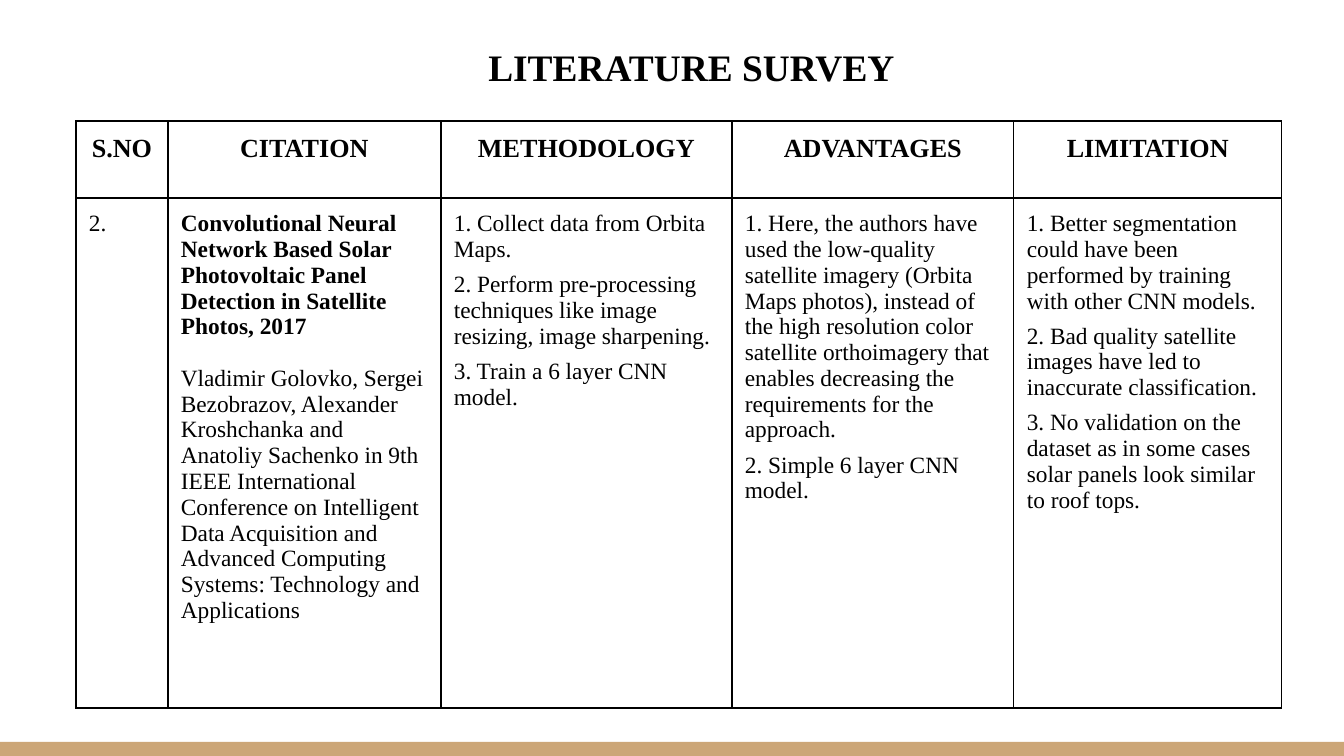
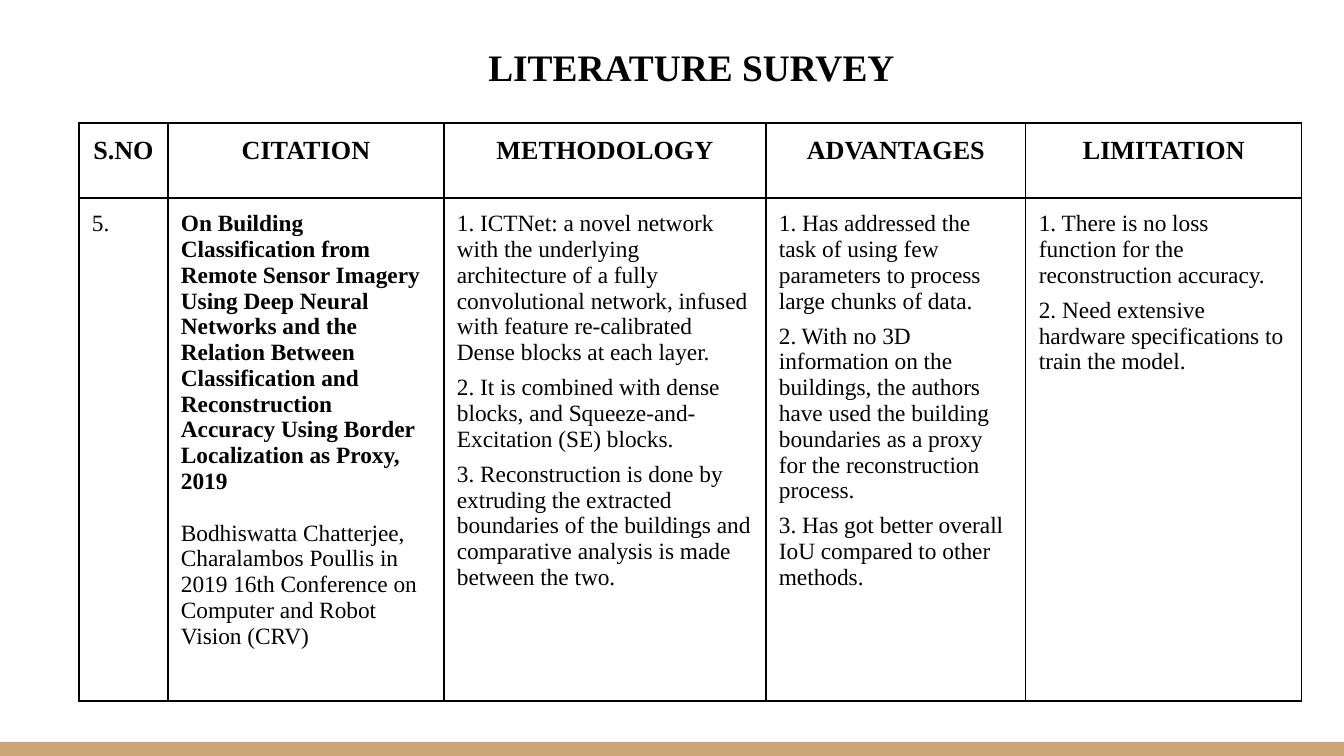
from lxml import etree
from pptx import Presentation
from pptx import util as u
from pptx.dml.color import RGBColor
from pptx.enum import shapes, text
from pptx.oxml import ns

PX = 914400 / 134.4
WIDTH, HEIGHT = 1344, 756
FONT = "Times New Roman"
COLORS = {"ink": "000000", "band": "CCA677", "paper": "FFFFFF"}
INSET = 13
HEADERS = ["S.NO", "CITATION", "METHODOLOGY", "ADVANTAGES", "LIMITATION"]
POINT_GAP, AUTHOR_GAP = 5, 13.8

SURVEYS = [
    {
        "origin": (76, 121),
        "cols": [92, 273, 291, 282, 268],
        "rows": [77, 510],
        "number": "2.",
        "paper": "Convolutional Neural Network Based Solar Photovoltaic Panel "
                 "Detection in Satellite Photos, 2017",
        "authors": "Vladimir Golovko, Sergei Bezobrazov, Alexander Kroshchanka and "
                   "Anatoliy Sachenko in 9th IEEE International Conference on "
                   "Intelligent Data Acquisition and Advanced Computing Systems: "
                   "Technology and Applications",
        "points": [
            ["Collect data from Orbita Maps.",
             "Perform pre-processing techniques like image resizing, image sharpening.",
             "Train a 6 layer CNN model."],
            ["Here, the authors have used the low-quality satellite imagery (Orbita "
             "Maps photos), instead of the high resolution color satellite "
             "orthoimagery that enables decreasing the requirements for the approach.",
             "Simple 6 layer CNN model."],
            ["Better segmentation could have been performed by training with other "
             "CNN models.",
             "Bad quality satellite images have led to inaccurate classification.",
             "No validation on the dataset as in some cases solar panels look "
             "similar to roof tops."],
        ],
    },
    {
        "origin": (79, 123),
        "cols": [89, 276, 322, 260, 276],
        "rows": [75, 503],
        "number": "5.",
        "paper": "On Building Classification from Remote Sensor Imagery Using Deep "
                 "Neural Networks and the Relation Between Classification and "
                 "Reconstruction Accuracy Using Border Localization as Proxy, 2019",
        "authors": "Bodhiswatta Chatterjee, Charalambos Poullis in 2019 16th "
                   "Conference on Computer and Robot Vision (CRV)",
        "points": [
            ["ICTNet: a novel network with the underlying architecture of a fully "
             "convolutional network, infused with feature re-calibrated Dense "
             "blocks at each layer.",
             "It is combined with dense blocks, and Squeeze-and-Excitation (SE) blocks.",
             "Reconstruction is done by extruding the extracted boundaries of the "
             "buildings and comparative analysis is made between the two."],
            ["Has addressed the task of using few parameters to process large "
             "chunks of data.",
             "With no 3D information on the buildings, the authors have used the "
             "building boundaries as a proxy for the reconstruction process.",
             "Has got better overall IoU compared to other methods."],
            ["There is no loss function for the reconstruction accuracy.",
             "Need extensive hardware specifications to train the model."],
        ],
    },
]


def px(n):
    return u.Emu(round(n * PX))


def rgb(name):
    return RGBColor.from_string(COLORS[name])


def set_insets(target):
    target.margin_left = target.margin_right = px(INSET)
    target.margin_top = target.margin_bottom = px(INSET)


def write(tf, lines, size, bold=False, center=False, gap=0):
    """Fill a text frame, one paragraph a line, with gap points between them."""
    for i, line in enumerate(lines):
        p = tf.add_paragraph() if i else tf.paragraphs[0]
        p.text = line
        p.alignment = text.PP_ALIGN.CENTER if center else text.PP_ALIGN.LEFT
        p.space_before = u.Pt(gap if i else 0)
        p.font.name, p.font.size, p.font.bold = FONT, u.Pt(size), bold
        p.font.color.rgb = rgb("ink")


def add_band(slide, box):
    sp = slide.shapes.add_shape(shapes.MSO_SHAPE.RECTANGLE, *map(px, box))
    sp.shadow.inherit = False
    sp.fill.solid()
    sp.fill.fore_color.rgb = rgb("band")
    sp.line.fill.background()


def add_title(slide, box, title):
    tf = slide.shapes.add_textbox(*map(px, box)).text_frame
    tf.word_wrap = True
    set_insets(tf)
    write(tf, [title], 20, bold=True, center=True)


def style_cell(cell):
    set_insets(cell)
    cell.fill.background()
    tc_pr = cell._tc.get_or_add_tcPr()
    for i, side in enumerate(["lnL", "lnR", "lnT", "lnB"]):
        ln = etree.Element(ns.qn(f"a:{side}"), w=str(u.Pt(0.75)))
        fill = etree.SubElement(ln, ns.qn("a:solidFill"))
        etree.SubElement(fill, ns.qn("a:srgbClr"), val=COLORS["ink"])
        tc_pr.insert(i, ln)


def add_survey_table(slide, survey):
    cols, rows = survey["cols"], survey["rows"]
    box = (*survey["origin"], sum(cols), sum(rows))
    table = slide.shapes.add_table(len(rows), len(cols), *map(px, box)).table
    table.first_row = table.horz_banding = False
    for column, width in zip(table.columns, cols):
        column.width = px(width)
    for row, height in zip(table.rows, rows):
        row.height = px(height)
    for cell in table.iter_cells():
        style_cell(cell)

    # Header row
    for i, header in enumerate(HEADERS):
        write(table.cell(0, i).text_frame, [header], 14, bold=True, center=True)

    # Number and citation
    write(table.cell(1, 0).text_frame, [survey["number"]], 12.5)
    citation = table.cell(1, 1).text_frame
    write(citation, [survey["paper"], survey["authors"]], 12.5, gap=AUTHOR_GAP)
    citation.paragraphs[0].font.bold = True

    # Numbered points
    for i, points in enumerate(survey["points"], 2):
        lines = [f"{n}. {point}" for n, point in enumerate(points, 1)]
        write(table.cell(1, i).text_frame, lines, 12.5, gap=POINT_GAP)


def add_survey_slide(prs, survey):
    slide = prs.slides.add_slide(prs.slide_layouts[6])
    slide.background.fill.solid()
    slide.background.fill.fore_color.rgb = rgb("paper")
    add_band(slide, (0, HEIGHT - 14, WIDTH, 14))
    add_title(slide, (266, 31, 851, 73), "LITERATURE SURVEY")
    add_survey_table(slide, survey)


def main():
    prs = Presentation()
    prs.slide_width, prs.slide_height = px(WIDTH), px(HEIGHT)
    for survey in SURVEYS:
        add_survey_slide(prs, survey)
    prs.save("out.pptx")


if __name__ == "__main__":
    main()
